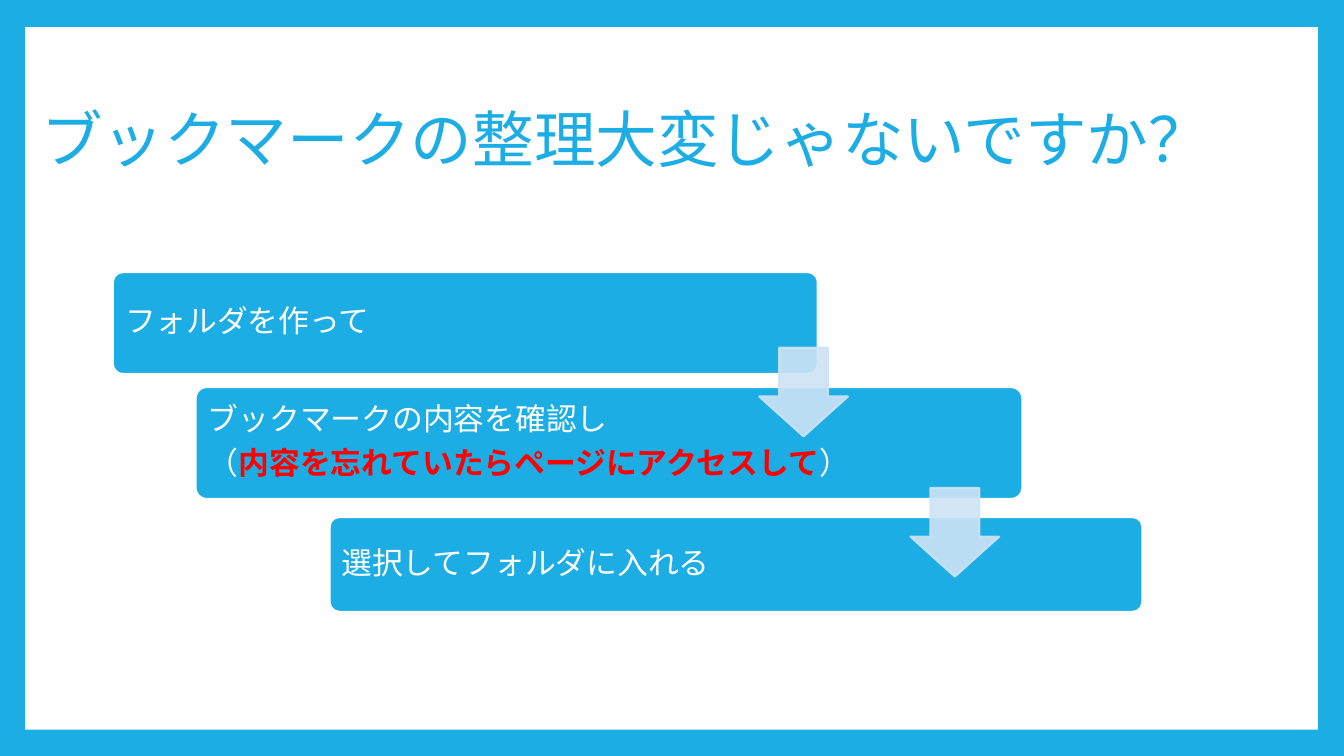
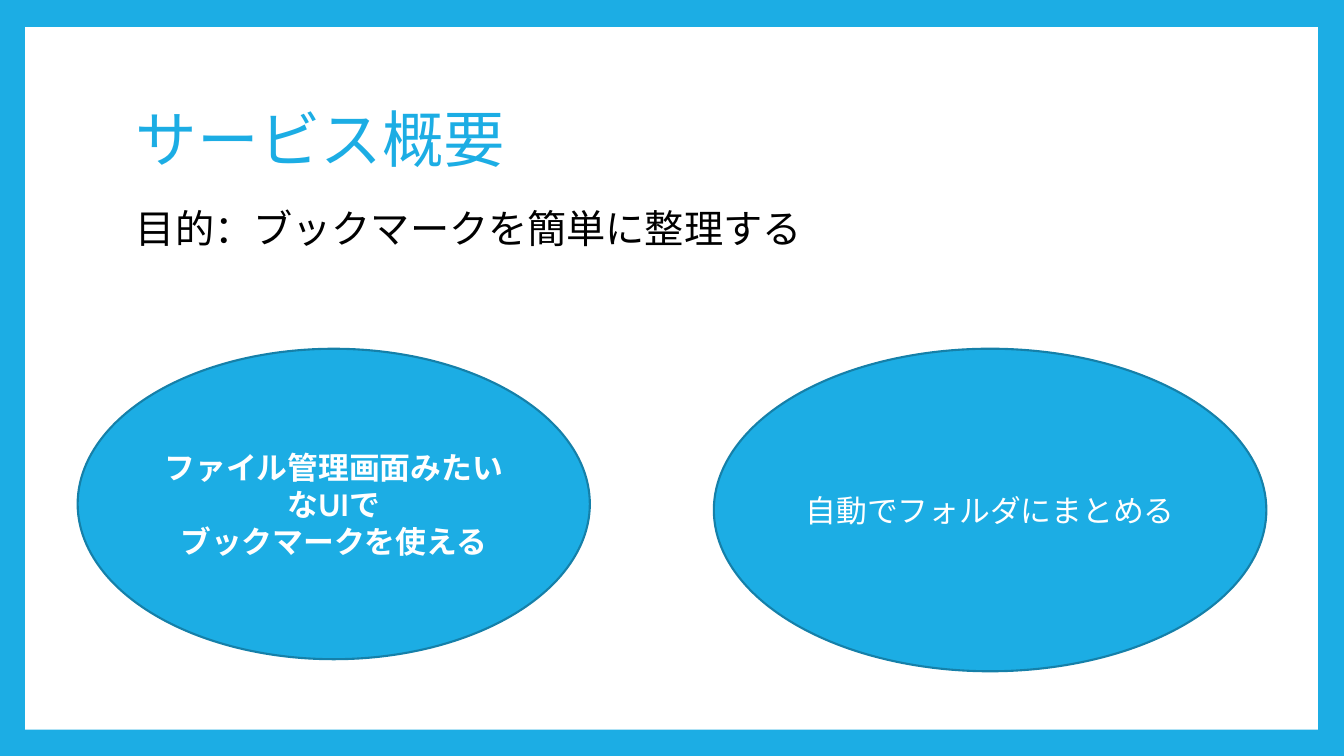
from lxml import etree
from pptx import Presentation
from pptx.dml.color import RGBColor
from pptx.enum.shapes import MSO_SHAPE
from pptx.enum.text import MSO_ANCHOR, PP_ALIGN
from pptx.oxml.ns import qn
from pptx.util import Inches, Pt

RECT, ROUND = MSO_SHAPE.RECTANGLE, MSO_SHAPE.ROUNDED_RECTANGLE
OVAL, DOWN = MSO_SHAPE.OVAL, MSO_SHAPE.DOWN_ARROW
MIDDLE, TOP = MSO_ANCHOR.MIDDLE, MSO_ANCHOR.TOP
LEFT, CENTER = PP_ALIGN.LEFT, PP_ALIGN.CENTER
FONT = "Cabin"
BLUE, EDGE, PALE = "1CADE4", "1580A9", "CDE3F5"
WHITE, BLACK, RED = "FFFFFF", "000000", "FF0000"


def paint(fill, color, alpha=100):
    """Fill with a hex colour, see-through when alpha is below 100."""
    fill.solid()
    fill.fore_color.rgb = RGBColor.from_string(color)
    if alpha < 100:
        for tone in fill._xPr.iter(qn("a:srgbClr")):
            etree.SubElement(tone, qn("a:alpha"), val=str(alpha * 1000))


def write(shape, paras, size=22, color=WHITE, bold=False, align=LEFT,
          anchor=MIDDLE, spacing=None, after=0, inset=None, wrap=True):
    """Write paragraphs; each is a string or a list of (text, format) runs."""
    frame = shape.text_frame
    frame.word_wrap = wrap
    frame.vertical_anchor = anchor
    if inset is not None:
        frame.margin_left = frame.margin_right = Inches(inset)
        frame.margin_top = frame.margin_bottom = Inches(inset)
    for i, runs in enumerate(paras):
        para = frame.add_paragraph() if i else frame.paragraphs[0]
        para.alignment = align
        para.line_spacing = spacing
        para.space_after = Pt(after)
        for text, style in [(runs, {})] if isinstance(runs, str) else runs:
            run = para.add_run()
            run.text = text
            run.font.size = Pt(size)
            run.font.bold = style.get("bold", bold)
            paint(run.font.fill, style.get("color", color))
            run.font.name = FONT
            etree.SubElement(run._r.rPr, qn("a:ea"), typeface=FONT)


class Deck:
    """Holds the shared style and the current slide."""

    def __init__(self):
        """Start a wide presentation."""
        self.prs = Presentation()
        self.prs.slide_width, self.prs.slide_height = Inches(13.33), Inches(7.5)

    def page(self, title, left, width):
        """Add a slide with the blue frame and its title."""
        self.slide = self.prs.slides.add_slide(self.prs.slide_layouts[6])
        paint(self.slide.background.fill, BLUE)
        self.shape(RECT, (0.25, 0.27, 12.82, 6.97), WHITE)
        self.text((left, 0.67, width, 1.48), title, size=44, color=BLUE,
                  spacing=0.9)

    def shape(self, kind, box, fill, line=None, adjust=(), alpha=100):
        """Add a preset shape with a flat fill and an optional line."""
        shape = self.slide.shapes.add_shape(kind, *map(Inches, box))
        shape.shadow.inherit = False
        for i, value in enumerate(adjust):
            shape.adjustments[i] = value
        paint(shape.fill, fill, alpha)
        if line:
            paint(shape.line.fill, line, alpha)
            shape.line.width = Pt(1.5)
        else:
            shape.line.fill.background()
        return shape

    def text(self, box, text, **style):
        """Add a text box."""
        write(self.slide.shapes.add_textbox(*map(Inches, box)), [text], **style)

    def step(self, box, paras):
        """Add a rounded card of the staircase."""
        card = self.shape(ROUND, box, BLUE, WHITE, [0.1])
        write(card, paras, spacing=0.9, after=7.7, inset=0.09)

    def arrow(self, left, top):
        """Add a pale arrow that leads to the next card."""
        self.shape(DOWN, (left, top, 0.88, 0.88), PALE, PALE, [0.55, 0.45], 90)

    def bubble(self, box, paras, bold=False):
        """Add an ellipse with centred text."""
        write(self.shape(OVAL, box, BLUE, EDGE), paras, bold=bold, align=CENTER)


deck = Deck()

deck.page("ブックマークの整理大変じゃないですか？", 0.31, 12.68)
deck.step((1.12, 2.7, 6.99, 1.01), ["フォルダを作って"])
deck.step((1.94, 3.84, 8.2, 1.11), [
    "ブックマークの内容を確認し",
    [("（", {}),
     ("内容を忘れていたらページにアクセスして", {"color": RED, "bold": True}),
     ("）", {})],
])
deck.step((3.27, 5.13, 8.06, 0.94), ["選択してフォルダに入れる"])
for spot in ((7.53, 3.45), (9.03, 4.84)):
    deck.arrow(*spot)

deck.page("サービス概要", 1.25, 10.8)
deck.text((1.25, 1.98, 6.88, 0.57), "目的：ブックマークを簡単に整理する",
          size=28, color=BLACK, anchor=TOP, wrap=False)
deck.bubble((0.77, 3.46, 5.08, 3.08),
            ["ファイル管理画面みたいなUIで", "ブックマークを使える"], bold=True)
deck.bubble((7.08, 3.46, 5.48, 3.2), ["自動でフォルダにまとめる"])

deck.prs.save("out.pptx")
